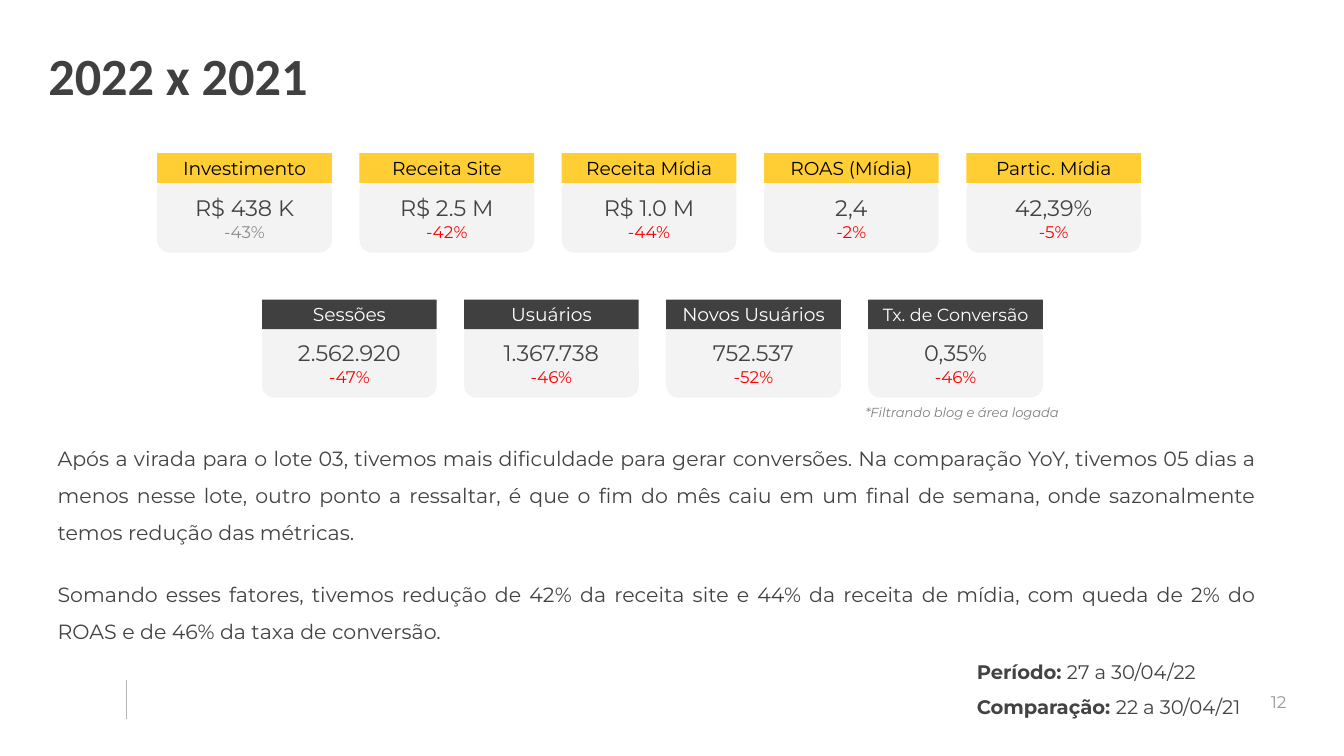
from dataclasses import dataclass

from lxml import etree
from pptx import Presentation
from pptx.dml.color import RGBColor
from pptx.enum.shapes import MSO_CONNECTOR, MSO_SHAPE
from pptx.enum.text import MSO_ANCHOR as ANCHOR, PP_ALIGN as ALIGN
from pptx.oxml.ns import qn
from pptx.util import Inches, Pt


@dataclass(frozen=True)
class Theme:
    """Fonts, colours and type sizes of the slide."""
    head_font: str = "Calibri"
    body_font: str = "Montserrat"
    dark: str = "404041"
    text: str = "434343"
    yellow: str = "FFCD34"
    card: str = "F3F3F3"
    black: str = "000000"
    white: str = "FFFFFF"
    red: str = "FF0000"
    neutral: str = "8C8C8E"
    note: str = "808080"
    number: str = "999999"
    rule: str = "B7B7B7"
    title_pt: float = 28
    value_pt: float = 12
    body_pt: float = 11
    period_pt: float = 10.5
    label_pt: float = 10
    small_label_pt: float = 9.4
    small_pt: float = 9
    note_pt: float = 7


T = Theme()

MEDIA = [
    ("Investimento", "R$ 438 K", "-43%", T.neutral, T.label_pt),
    ("Receita Site", "R$ 2.5 M", "-42%", T.red, T.label_pt),
    ("Receita Mídia", "R$ 1.0 M", "-44%", T.red, T.label_pt),
    ("ROAS (Mídia)", "2,4", "-2%", T.red, T.label_pt),
    ("Partic. Mídia", "42,39%", "-5%", T.red, T.label_pt),
]
TRAFFIC = [
    ("Sessões", "2.562.920", "-47%", T.red, T.label_pt),
    ("Usuários", "1.367.738", "-46%", T.red, T.label_pt),
    ("Novos Usuários", "752.537", "-52%", T.red, T.label_pt),
    ("Tx. de Conversão", "0,35%", "-46%", T.red, T.small_label_pt),
]
COMMENTS = [
    "Após a virada para o lote 03, tivemos mais dificuldade para gerar conversões. "
    "Na comparação YoY, tivemos 05 dias a menos nesse lote, outro ponto a ressaltar, "
    "é que o fim do mês caiu em um final de semana, onde sazonalmente temos redução das métricas.",
    "Somando esses fatores, tivemos redução de 42% da receita site e 44% da receita de mídia, "
    "com queda de 2% do ROAS e de 46% da taxa de conversão.",
]
PERIODS = [("Período: ", "27 a 30/04/22"), ("Comparação: ", "22 a 30/04/21")]


def set_frame(tf, inset=0.1, inset_y=None, anchor=ANCHOR.TOP):
    """Set wrapping, insets and anchor of a text frame."""
    tf.word_wrap = True
    tf.vertical_anchor = anchor
    tf.margin_left = tf.margin_right = Inches(inset)
    tf.margin_top = tf.margin_bottom = Inches(inset if inset_y is None else inset_y)
    return tf


def add_box(s, box, **frame):
    """Add a text box and return its text frame."""
    return set_frame(s.shapes.add_textbox(*map(Inches, box)).text_frame, **frame)


def add_panel(s, kind, box, fill, **frame):
    """Add a flat filled shape and return it."""
    sp = s.shapes.add_shape(kind, *map(Inches, box))
    sp.shadow.inherit = False
    sp.fill.solid()
    sp.fill.fore_color.rgb = RGBColor.from_string(fill)
    sp.line.fill.background()
    set_frame(sp.text_frame, **frame)
    return sp


def add_para(tf, first=False, align=ALIGN.LEFT, spacing=1.0):
    """Return the first paragraph or a new one, formatted."""
    p = tf.paragraphs[0] if first else tf.add_paragraph()
    p.alignment = align
    p.line_spacing = spacing
    return p


def add_run(p, text, size, color, font=T.body_font, bold=False, italic=False):
    """Add one formatted run to a paragraph."""
    r = p.add_run()
    r.text = text
    r.font.name, r.font.size = font, Pt(size)
    r.font.bold, r.font.italic = bold, italic
    r.font.color.rgb = RGBColor.from_string(color)


def add_title(s, box):
    """Place the slide title."""
    p = add_para(add_box(s, box, inset=0.03), True, spacing=1.15)
    add_run(p, "2022 x 2021", T.title_pt, T.dark, T.head_font, bold=True)


def add_card(s, box, metric, fill, color):
    """Place one metric card: a value panel under a label band."""
    x, y, w, h = box
    label, value, change, change_color, label_pt = metric
    panel_h = 0.56
    panel = add_panel(s, MSO_SHAPE.ROUNDED_RECTANGLE, (x, y + h - panel_h, w, panel_h), T.card)
    panel.adjustments[0] = 0.167
    tf = panel.text_frame
    add_run(add_para(tf, True, ALIGN.CENTER), value, T.value_pt, T.text)
    add_run(add_para(tf, align=ALIGN.CENTER), change, T.small_pt, change_color)
    band = add_panel(s, MSO_SHAPE.RECTANGLE, (x, y, w, 0.22), fill, anchor=ANCHOR.MIDDLE)
    add_run(add_para(band.text_frame, True, ALIGN.CENTER), label, label_pt, color)


def add_card_row(s, box, metrics, fill, color):
    """Spread metric cards evenly across a box."""
    x, y, w, h = box
    card_w = 1.3
    step = (w - card_w) / (len(metrics) - 1)
    for i, metric in enumerate(metrics):
        add_card(s, (x + i * step, y, card_w, h), metric, fill, color)


def add_comments(s, box):
    """Place the justified commentary."""
    tf = add_box(s, box)
    for i, text in enumerate(COMMENTS):
        p = add_para(tf, i == 0, ALIGN.JUSTIFY, 1.5)
        if i:
            p.space_before = Pt(13.4)
        add_run(p, text, T.body_pt, T.text)


def add_periods(s, box):
    """Place the compared date ranges."""
    tf = add_box(s, box)
    for i, (label, dates) in enumerate(PERIODS):
        p = add_para(tf, i == 0, spacing=1.5)
        add_run(p, label, T.period_pt, T.text, bold=True)
        add_run(p, dates, T.period_pt, T.text)


def add_note(s, box):
    """Place the filter note."""
    p = add_para(add_box(s, box, inset_y=0.05), True)
    add_run(p, "*Filtrando blog e área logada", T.note_pt, T.note, italic=True)


def add_footer(s, box):
    """Place the footer rule and the page number."""
    x, y, w, h = box
    ends = (x, y + 0.05, x, y + 0.34)
    rule = s.shapes.add_connector(MSO_CONNECTOR.STRAIGHT, *map(Inches, ends))
    rule.line.color.rgb = RGBColor.from_string(T.rule)
    rule.line.width = Pt(0.75)
    etree.SubElement(rule._element.spPr, qn("a:effectLst"))
    tf = add_box(s, (x + w - 0.6, y, 0.6, h), anchor=ANCHOR.MIDDLE)
    add_run(add_para(tf, True, ALIGN.RIGHT), "12", T.small_pt, T.number)


def main():
    """Build the slide and save it."""
    prs = Presentation()
    prs.slide_width = Inches(10)
    prs.slide_height = prs.slide_width * 9 // 16
    s = prs.slides.add_slide(prs.slide_layouts[6])
    add_footer(s, (0.94, 5.01, 8.73, 0.43))
    add_title(s, (0.33, 0.22, 4.05, 0.56))
    add_comments(s, (0.33, 3.13, 9.12, 1.98))
    add_card_row(s, (1.17, 1.14, 7.32, 0.74), MEDIA, T.yellow, T.black)
    add_card_row(s, (1.95, 2.23, 5.81, 0.73), TRAFFIC, T.dark, T.white)
    add_periods(s, (7.17, 4.72, 2.2, 0.72))
    add_note(s, (6.34, 2.96, 1.71, 0.22))
    prs.save("out.pptx")


if __name__ == "__main__":
    main()
